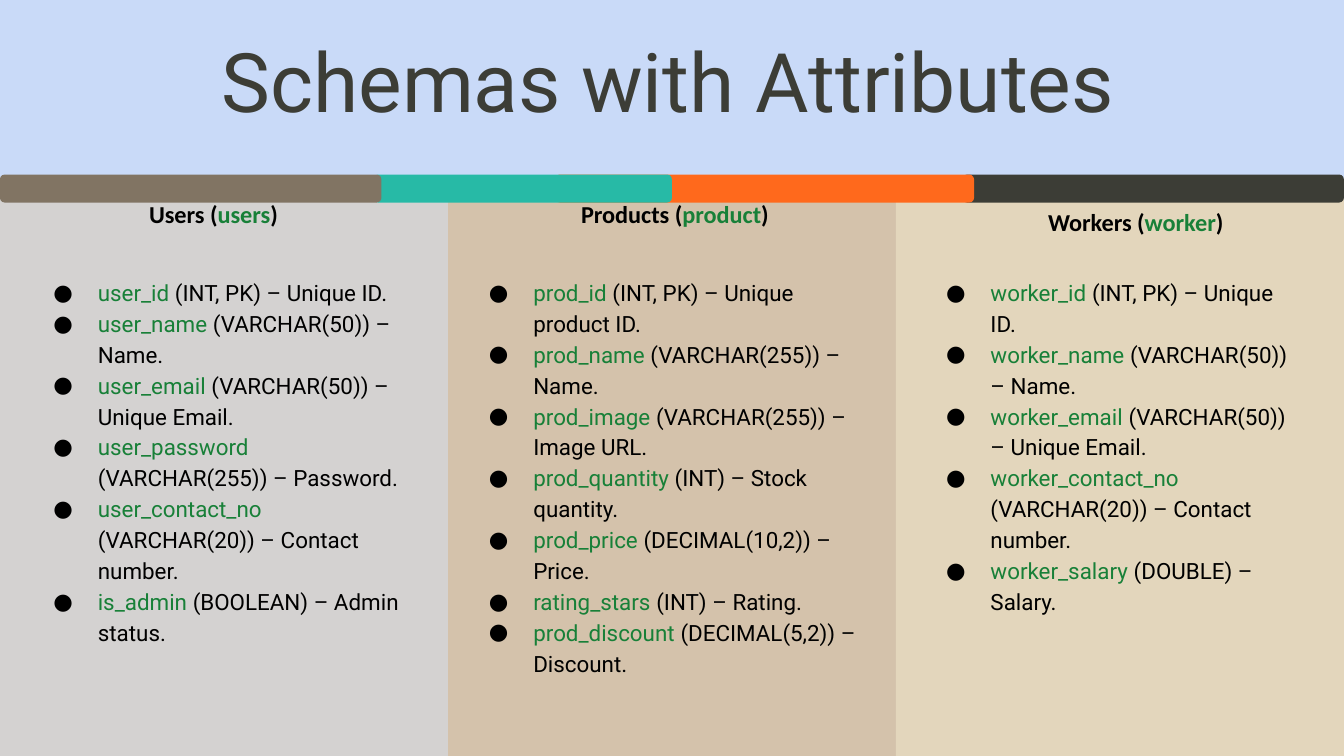
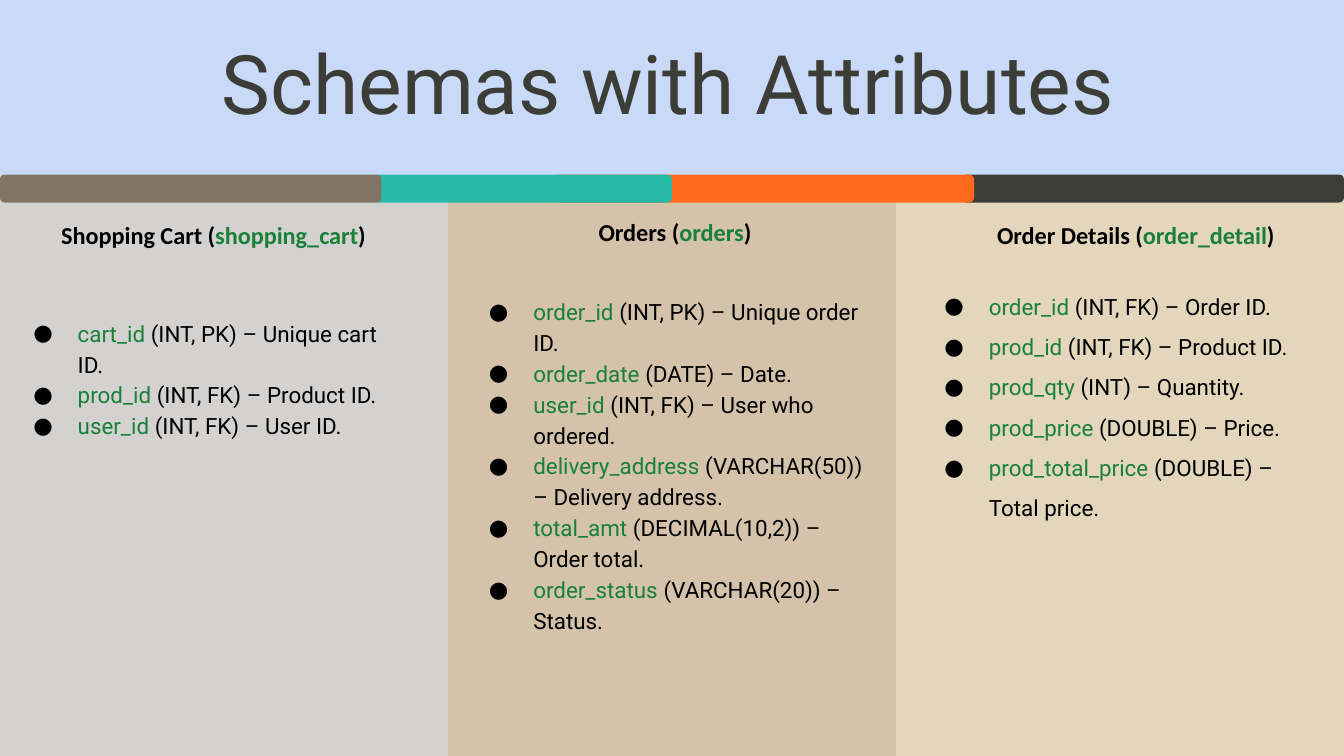
from lxml import etree
from pptx import Presentation
from pptx.dml.color import RGBColor
from pptx.enum.shapes import MSO_SHAPE
from pptx.enum.text import MSO_ANCHOR, PP_ALIGN
from pptx.oxml.ns import qn
from pptx.util import Cm, Pt

RECTANGLE = MSO_SHAPE.RECTANGLE
ROUNDED = MSO_SHAPE.ROUNDED_RECTANGLE
TOP = MSO_ANCHOR.TOP
CENTER = PP_ALIGN.CENTER


class Theme:
    background = "C9DAF8"
    columns = ("D4D2D1", "D4C2AB", "E3D6BC")
    title = "3C3D36"
    text = "000000"
    name = "188038"
    band = {"dark": "3C3D36", "orange": "FF691C", "teal": "27BAA6", "brown": "817463"}
    title_font = body_font = "Roboto"
    heading_font = "Calibri"
    title_size = 44
    heading_size = 13
    body_size = 12


def add_block(page, kind, place, color):
    block = page.shapes.add_shape(kind, *[Cm(value) for value in place])
    block.shadow.inherit = False
    block.fill.solid()
    block.fill.fore_color.rgb = RGBColor.from_string(color)
    block.line.fill.background()
    return block


def add_text(page, place, lines, font, size, spacing, left_inset=0, bold=False, bullets=False):
    box = page.shapes.add_textbox(*[Cm(value) for value in place])
    frame = box.text_frame
    frame.word_wrap = True
    frame.vertical_anchor = TOP
    frame.margin_left = Cm(left_inset)
    frame.margin_right = frame.margin_top = frame.margin_bottom = Cm(0.25)
    for index, line in enumerate(lines):
        para = frame.add_paragraph() if index else frame.paragraphs[0]
        if bullets:
            properties = para._p.get_or_add_pPr()
            properties.set("marL", str(Cm(1.27)))
            properties.set("indent", str(Cm(-0.84)))
            bullet_color = etree.SubElement(properties, qn("a:buClr"))
            etree.SubElement(bullet_color, qn("a:srgbClr"), val=Theme.text)
            etree.SubElement(properties, qn("a:buFont"), typeface=font)
            etree.SubElement(properties, qn("a:buChar"), char="●")
        else:
            para.alignment = CENTER
        para.line_spacing = spacing
        for words, color in line:
            span = para.add_run()
            span.text = words
            span.font.name = font
            span.font.size = Pt(size)
            span.font.bold = bold
            span.font.color.rgb = RGBColor.from_string(color)


SLIDE_WIDTH, SLIDE_HEIGHT = 25.4, 14.29
COLUMN_TOP = 3.4
COLUMN_WIDTH = SLIDE_WIDTH / 3
BAND_TOP, BAND_HEIGHT = 3.3, 0.53
BAND_PARTS = [("dark", 18.19, 7.21), ("orange", 10.49, 7.92), ("teal", 7.06, 5.64), ("brown", 0, 7.21)]
HEADING_LEFTS = (0.58, 9.3, 18.01)
HEADING_WIDTH = 7.16
HEADING_HEIGHTS = (1.93, 1.22, 1.22)
LIST_WIDTHS = (7.49, 7.9, 7.34)
LIST_HEIGHTS = (7.65, 8.56, 8.43)

SCHEMA_PAGES = [
    {"title_top": 0.91, "schemas": [
        {"label": "Users", "table": "users", "heading_top": 3.43, "list_at": (0.58, 4.95), "spacing": 1.15,
         "fields": [
             "user_id (INT, PK) – Unique ID.",
             "user_name (VARCHAR(50)) – Name.",
             "user_email (VARCHAR(50)) – Unique Email.",
             "user_password (VARCHAR(255)) – Password.",
             "user_contact_no (VARCHAR(20)) – Contact number.",
             "is_admin (BOOLEAN) – Admin status."]},
        {"label": "Products", "table": "product", "heading_top": 3.43, "list_at": (8.81, 4.95), "spacing": 1.15,
         "fields": [
             "prod_id (INT, PK) – Unique product ID.",
             "prod_name (VARCHAR(255)) – Name.",
             "prod_image (VARCHAR(255)) – Image URL.",
             "prod_quantity (INT) – Stock quantity.",
             "prod_price (DECIMAL(10,2)) – Price.",
             "rating_stars (INT) – Rating.",
             "prod_discount (DECIMAL(5,2)) – Discount."]},
        {"label": "Workers", "table": "worker", "heading_top": 3.58, "list_at": (17.45, 4.95), "spacing": 1.15,
         "fields": [
             "worker_id (INT, PK) – Unique ID.",
             "worker_name (VARCHAR(50)) – Name.",
             "worker_email (VARCHAR(50)) – Unique Email.",
             "worker_contact_no (VARCHAR(20)) – Contact number.",
             "worker_salary (DOUBLE) – Salary."]},
    ]},
    {"title_top": 0.94, "schemas": [
        {"label": "Shopping Cart", "table": "shopping_cart", "heading_top": 3.84, "list_at": (0.2, 5.72),
         "spacing": 1.15,
         "fields": [
             "cart_id (INT, PK) – Unique cart ID.",
             "prod_id (INT, FK) – Product ID.",
             "user_id (INT, FK) – User ID."]},
        {"label": "Orders", "table": "orders", "heading_top": 3.78, "list_at": (8.81, 5.31), "spacing": 1.15,
         "fields": [
             "order_id (INT, PK) – Unique order ID.",
             "order_date (DATE) – Date.",
             "user_id (INT, FK) – User who ordered.",
             "delivery_address (VARCHAR(50)) – Delivery address.",
             "total_amt (DECIMAL(10,2)) – Order total.",
             "order_status (VARCHAR(20)) – Status."]},
        {"label": "Order Details", "table": "order_detail", "heading_top": 3.84, "list_at": (17.42, 5.03),
         "spacing": 1.5,
         "fields": [
             "order_id (INT, FK) – Order ID.",
             "prod_id (INT, FK) – Product ID.",
             "prod_qty (INT) – Quantity.",
             "prod_price (DOUBLE) – Price.",
             "prod_total_price (DOUBLE) – Total price."]},
    ]},
]

deck = Presentation()
deck.slide_width = Cm(SLIDE_WIDTH)
deck.slide_height = Cm(SLIDE_HEIGHT)
blank_layout = deck.slide_layouts[6]

for content in SCHEMA_PAGES:
    page = deck.slides.add_slide(blank_layout)
    page.background.fill.solid()
    page.background.fill.fore_color.rgb = RGBColor.from_string(Theme.background)

    for column, color in enumerate(Theme.columns):
        place = (column * COLUMN_WIDTH, COLUMN_TOP, COLUMN_WIDTH, SLIDE_HEIGHT - COLUMN_TOP)
        add_block(page, RECTANGLE, place, color)

    add_text(page, (0.2, content["title_top"], 24.87, 2.51), [[("Schemas with Attributes", Theme.title)]],
             Theme.title_font, Theme.title_size, 0.65, left_inset=0.25)

    for column, schema in enumerate(content["schemas"]):
        heading = [(f"{schema['label']} (", Theme.text), (schema["table"], Theme.name), (")", Theme.text)]
        place = (HEADING_LEFTS[column], schema["heading_top"], HEADING_WIDTH, HEADING_HEIGHTS[column])
        add_text(page, place, [heading], Theme.heading_font, Theme.heading_size, 1.15, bold=True)

        lines = []
        for field in schema["fields"]:
            name, gap, description = field.partition(" ")
            lines.append([(name, Theme.name), (gap + description, Theme.text)])
        place = (*schema["list_at"], LIST_WIDTHS[column], LIST_HEIGHTS[column])
        add_text(page, place, lines, Theme.body_font, Theme.body_size, schema["spacing"], bullets=True)

    for part, left, width in BAND_PARTS:
        strip = add_block(page, ROUNDED, (left, BAND_TOP, width, BAND_HEIGHT), Theme.band[part])
        strip.adjustments[0] = 0.17

deck.save("out.pptx")
